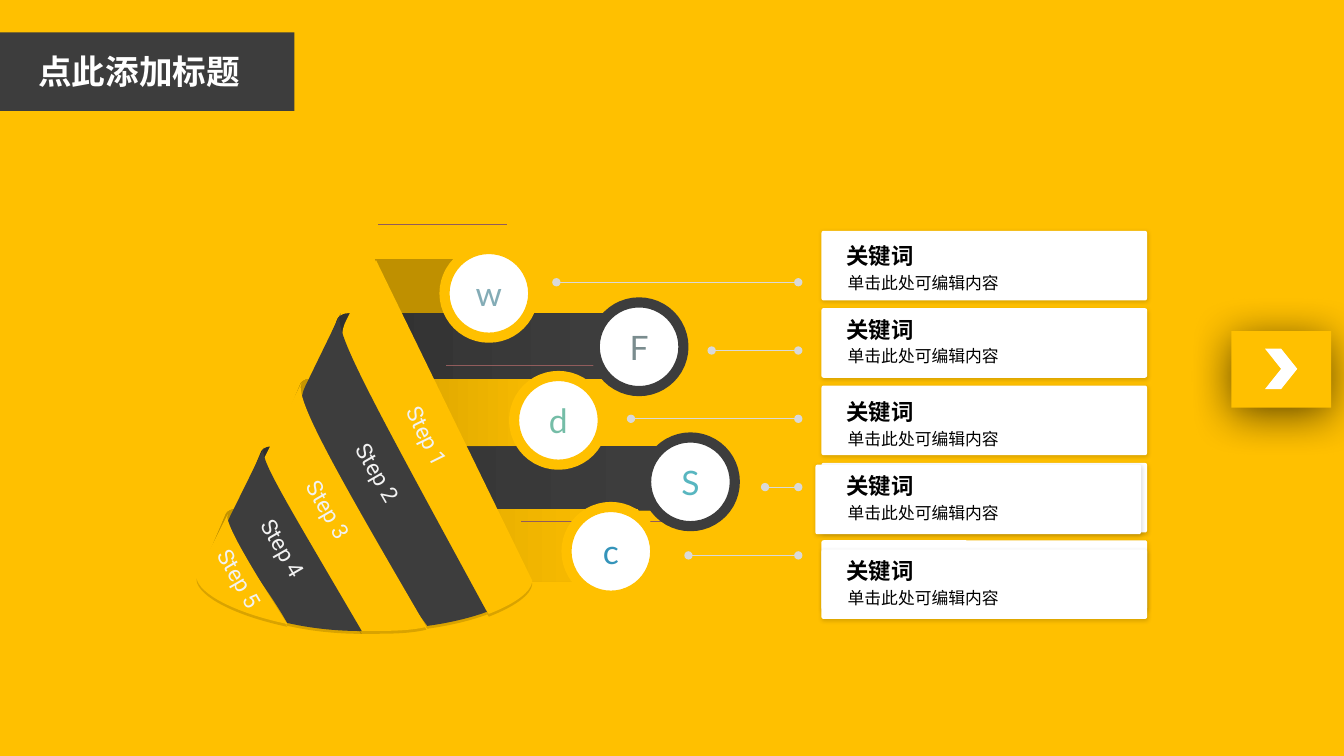
import lxml.etree
import pptx
import pptx.dml.color
import pptx.enum.shapes
import pptx.enum.text
import pptx.oxml.ns
import pptx.util

COLS, ROWS = 1333.33, 750
CELL = pptx.util.Inches(0.01)
COLORS = {
    "yellow": "FFC000", "ochre": "BF9000", "dark": "3D3D3D", "black": "2E2E2E",
    "white": "FFFFFF", "text": "000000", "step": "F2F2F2", "leader": "D9D9D9",
    "hairline": "915C5C", "w": "84ACB6", "F": "7A8C8E", "d": "75BDA7",
    "S": "58B6C0", "c": "3494BA",
}
RGB = {name: pptx.dml.color.RGBColor.from_string(value) for name, value in COLORS.items()}
SHAPE = pptx.enum.shapes.MSO_SHAPE
CENTER = pptx.enum.text.PP_ALIGN.CENTER
GROW = pptx.enum.text.MSO_AUTO_SIZE.SHAPE_TO_FIT_TEXT
qn = pptx.oxml.ns.qn


def paint(shape, fill, shadow=None):
    """Fill with one colour or a (left, right) gradient; shadow is (opacity %, blur pt, distance pt)."""
    if isinstance(fill, tuple):
        shape.fill.gradient()
        shape.fill.gradient_angle = 0
        for stop, name in zip(shape.fill.gradient_stops, fill):
            stop.color.rgb = RGB[name]
    else:
        shape.fill.solid()
        shape.fill.fore_color.rgb = RGB[fill]
    shape.line.fill.background()
    shape.shadow.inherit = False
    if shadow:
        opacity, blur, distance = shadow
        effects = shape._element.spPr.find(qn("a:effectLst"))
        outer = lxml.etree.SubElement(
            effects, qn("a:outerShdw"), blurRad=str(pptx.util.Pt(blur)),
            dist=str(pptx.util.Pt(distance)), dir="5400000", algn="ctr", rotWithShape="0")
        black = lxml.etree.SubElement(outer, qn("a:srgbClr"), val=COLORS["text"])
        lxml.etree.SubElement(black, qn("a:alpha"), val=str(opacity * 1000))


def write(shape, text, size, font, color, bold=False, align=None, spacing=None):
    paragraph = shape.text_frame.paragraphs[0]
    paragraph.text = text
    paragraph.alignment = align
    paragraph.line_spacing = spacing
    run = paragraph.runs[0]
    run.font.size = pptx.util.Pt(size)
    run.font.name = font
    run.font.bold = bold
    run.font.color.rgb = RGB[color]
    lxml.etree.SubElement(run._r.rPr, qn("a:ea"), typeface="Noto Sans CJK SC")


deck = pptx.Presentation()
deck.slide_width, deck.slide_height = round(COLS * CELL), ROWS * CELL
slide = deck.slides.add_slide(deck.slide_layouts[6])
slide.background.fill.solid()
slide.background.fill.fore_color.rgb = RGB["yellow"]
shapes = slide.shapes

# Outlines: a start point, then lines (x, y) and cubic curves (x1, y1, x2, y2, x, y)
dark_band, yellow_band = ("black", "dark"), ("ochre", "yellow")
bands = [
    ("ochre", [(372, 257), (407, 385), (413, 371, 440, 325, 447, 312),
               (471, 269, 500, 257, 500, 257)]),
    (dark_band, [(345, 311), (604, 311), (604, 376), (480, 376), (473, 388),
                 (466, 406, 302, 392, 295, 412), (335, 316), (335, 316, 338, 311, 345, 311)]),
    (yellow_band, [(298, 381), (258, 476), (265, 456, 503, 469, 510, 453),
                   (531, 403, 573, 376, 573, 376), (308, 376), (300, 376, 298, 381, 298, 381)]),
    (dark_band, [(536, 442), (656, 442), (656, 506), (547, 506), (540, 520),
                 (533, 537, 226, 524, 219, 544), (259, 448), (259, 448, 261, 443, 269, 443),
                 (536, 443)]),
    (yellow_band, [(234, 505), (226, 505, 224, 510, 224, 510), (198, 571),
                   (201, 562, 316, 571, 385, 577), (573, 577), (594, 531, 633, 505, 633, 505)]),
]
for left, right, y in ((443, 590, 362), (517, 665, 517), (375, 503, 222)):
    bands.append(("hairline", [(left, y), (right, y), (right, y + 0.3), (left, y + 0.3)]))
cone_strips = [
    ("yellow", [(528, 576), (373, 258), (343, 319), (336, 333, 323, 377, 485, 609),
                (511, 599, 527, 587, 528, 577)]),
    ("dark", [(303, 383), (279, 430, 366, 542, 424, 621), (446, 618, 467, 613, 483, 607),
              (364, 388, 330, 327, 338, 311)]),
    ("yellow", [(259, 461), (283, 512, 320, 561, 358, 626), (367, 626),
                (386, 626, 406, 626, 423, 622), (328, 459, 293, 396, 299, 380)]),
    ("dark", [(223, 523), (241, 556, 264, 581, 285, 618), (307, 623, 332, 626, 359, 626),
              (277, 486, 257, 454, 262, 444)]),
    ("yellow", [(195, 572), (195, 573), (197, 589, 233, 608, 285, 619),
                (233, 538, 223, 515, 226, 510)]),
]
badges = [("w", 441, 247, "yellow"), ("F", 590, 300, "dark"), ("d", 510, 373, "yellow"),
          ("S", 641, 434, "dark"), ("c", 562, 503, "yellow")]

for layer, shadow in ((bands, None), (cone_strips, (15, 0, 2))):
    for fill, outline in layer:
        corners = [(round(segment[i] * CELL), round(segment[i + 1] * CELL))
                   for segment in outline for i in range(0, len(segment), 2)]
        builder = shapes.build_freeform(*corners[0])
        builder.add_line_segments(corners[1:], close=True)
        strip = builder.convert_to_shape()
        # Each run of three points that belongs to a curve becomes one cubic segment
        lines = iter(list(strip._element.spPr.iter(qn("a:lnTo"))))
        for segment in outline[1:]:
            line = next(lines)
            if len(segment) == 6:
                curve = lxml.etree.Element(qn("a:cubicBezTo"))
                line.addprevious(curve)
                for vertex in (line, next(lines), next(lines)):
                    curve.append(vertex[0])
                    vertex.getparent().remove(vertex)
        paint(strip, fill, shadow)
    if layer is bands:
        for letter, left, top, ring in badges:
            badge = shapes.add_shape(SHAPE.OVAL, left * CELL, top * CELL, 88 * CELL, 88 * CELL)
            paint(badge, "white")
            badge.line.color.rgb = RGB[ring]
            badge.line.width = pptx.util.Pt(7.25)
            badge.text_frame.vertical_anchor = pptx.enum.text.MSO_ANCHOR.MIDDLE
            write(badge, letter, 24, "Lato", letter, align=CENTER)

steps = [(382, 415, 63.9), (333, 451, 60), (284, 488, 60), (239, 526, 60), (196, 556, 60)]
for number, (left, top, angle) in reversed(list(enumerate(steps, 1))):
    step_label = shapes.add_textbox(left * CELL, top * CELL, 84 * CELL, 37 * CELL)
    step_label.rotation = angle
    step_label.text_frame.word_wrap = False
    step_label.text_frame.auto_size = GROW
    write(step_label, f"Step {number}", 16, "Roboto", "step")

for row, left in enumerate((552, 706, 626, 759, 683)):
    y = round((280 + 67.75 * row) * CELL)
    leader = shapes.add_connector(
        pptx.enum.shapes.MSO_CONNECTOR.STRAIGHT, left * CELL, y, 792 * CELL, y)
    leader.line.color.rgb = RGB["leader"]
    leader.line.width = pptx.util.Pt(0.75)
    properties = leader._element.spPr
    for end in ("a:headEnd", "a:tailEnd"):
        lxml.etree.SubElement(properties.find(qn("a:ln")), qn(end), type="oval")
    lxml.etree.SubElement(properties, qn("a:effectLst"))

card_corners = [(815, 229 + 76.75 * row) for row in range(5)] + [(809, 461), (815, 545)]
for left, top in card_corners:
    card = shapes.add_shape(
        SHAPE.ROUNDED_RECTANGLE, left * CELL, round(top * CELL), 323 * CELL, 69 * CELL)
    card.adjustments[0] = 0.03
    paint(card, "white", (15, 3, 1))

for top in (235, 308, 390, 463, 547.7):
    for text, left, drop, width, height, size in (
            ("关键词", 840, 0, 93, 32, 16), ("单击此处可编辑内容", 841, 31.5, 255, 24, 12)):
        caption = shapes.add_textbox(
            left * CELL, round((top + drop) * CELL), width * CELL, height * CELL)
        frame = caption.text_frame
        frame.margin_left = frame.margin_right = frame.margin_top = frame.margin_bottom = 0
        frame.word_wrap = True
        frame.auto_size = GROW
        write(caption, text, size, "Arial", "text", bold=size == 16, spacing=1.2)

for left, width, fill in ((0, 292, "dark"), (315, 19, "yellow")):
    title_bar = shapes.add_shape(SHAPE.RECTANGLE, left * CELL, 32 * CELL, width * CELL, 78 * CELL)
    paint(title_bar, fill)
title = shapes.add_textbox(0, 46 * CELL, 276 * CELL, 50 * CELL)
title.text_frame.word_wrap = True
title.text_frame.auto_size = GROW
write(title, "点此添加标题", 24, "Noto Sans CJK SC", "white", bold=True, align=CENTER)

next_button = shapes.add_group_shape()
button_face = next_button.shapes.add_shape(
    SHAPE.RECTANGLE, 1233 * CELL, 317 * CELL, 76 * CELL, 99 * CELL)
button_face.rotation = 90
paint(button_face, "yellow", (62, 32, 5))
chevron = next_button.shapes.add_shape(
    SHAPE.CHEVRON, 1255 * CELL, 346 * CELL, 32 * CELL, 40 * CELL)
paint(chevron, "white")

deck.save("out.pptx")
